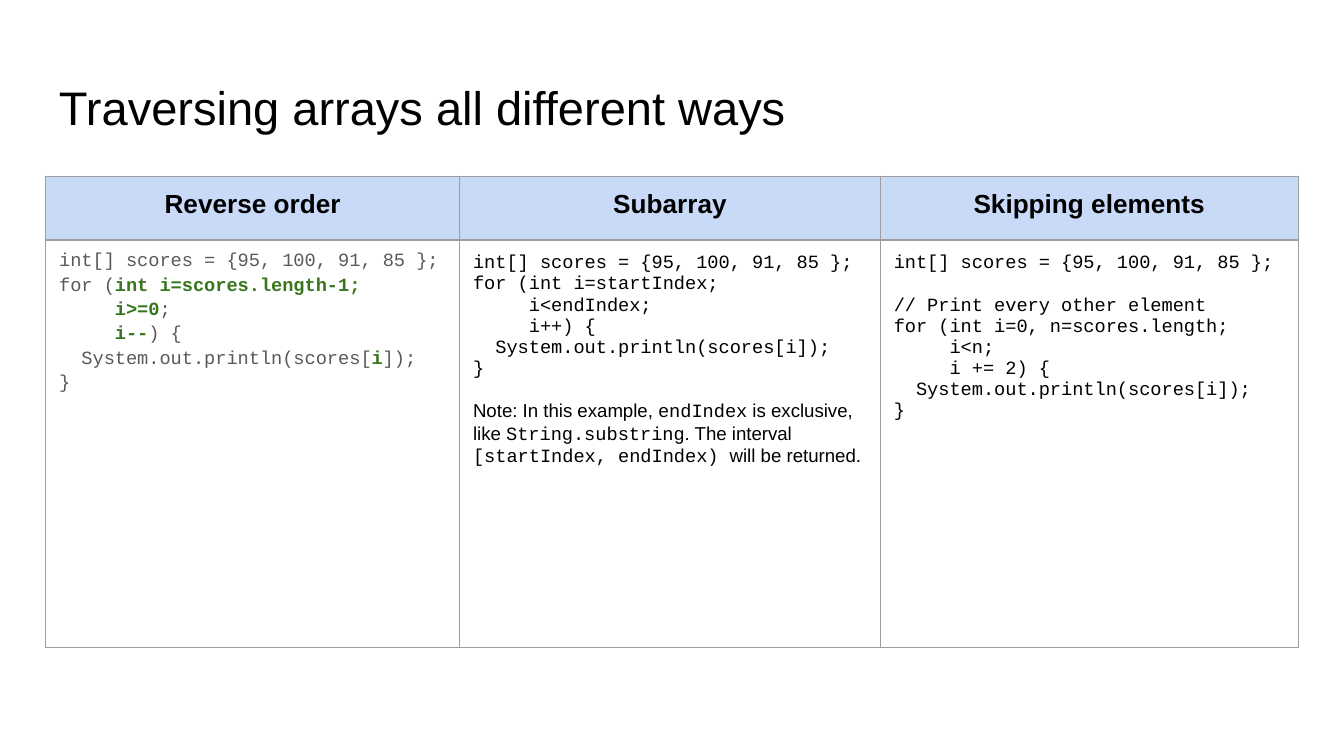
from lxml import etree
from pptx import Presentation
from pptx.dml.color import RGBColor
from pptx.enum.text import MSO_ANCHOR, PP_ALIGN
from pptx.oxml.ns import qn
from pptx.util import Inches, Pt

CENTER = PP_ALIGN.CENTER
MIDDLE = MSO_ANCHOR.MIDDLE
BLANK_LAYOUT = 6
SANS, MONO = "Arial", "Courier New"
BLACK, GRAY, GREEN = "000000", "595959", "38761D"
HEADER_FILL, BORDER = "C9DAF8", "9E9E9E"
LINE_GAP = 11.3  # one empty line of code, in points

COLUMN_WIDTHS = (30.8, 31.3, 31.1)  # percent of the slide width
ROW_HEIGHTS = (8.4, 53.9)  # percent of the slide height

PLAIN = dict(font=MONO, color=BLACK)
MUTED = dict(font=MONO, color=GRAY)
CHANGED = dict(font=MONO, color=GREEN, bold=True)
PROSE = dict(font=SANS, color=BLACK)

SCORES = "int[] scores = {95, 100, 91, 85 };"
PRINT = "  System.out.println(scores[i]);"

# A bar switches between the two styles of a paragraph.
REVERSE = [
    SCORES,
    "for (|int i=scores.length-1;",
    "     |i>=0|;",
    "     |i--|) {",
    "  System.out.println(scores[|i|]);",
    "}",
]
SUBARRAY = [
    SCORES,
    "for (int i=startIndex;\n     i<endIndex;\n     i++) {\n" + PRINT,
    "}",
]
NOTE = ("Note: In this example, |endIndex| is exclusive, like |String.substring|"
        ". The interval| [startIndex, endIndex) |will be returned.")
SKIPPING_LOOP = [
    "// Print every other element\nfor (int i=0, n=scores.length;\n"
    "     i<n;\n     i += 2) {",
    PRINT,
    "}",
]


def rgb(value):
    return RGBColor.from_string(value)


class SlideBuilder:
    """Holds the style and the page; positions are percentages of the slide."""

    def __init__(self, deck):
        self.deck = deck
        self.page = deck.slides.add_slide(deck.slide_layouts[BLANK_LAYOUT])
        self.inset = Inches(0.1)

    def x(self, percent):
        return round(self.deck.slide_width * percent / 100)

    def y(self, percent):
        return round(self.deck.slide_height * percent / 100)

    def format_font(self, font_object, size, font, color, bold=False):
        font_object.size = Pt(size)
        font_object.name = font
        font_object.bold = bold
        font_object.color.rgb = rgb(color)

    def title(self, text, left, top, width, height):
        box = self.page.shapes.add_textbox(
            self.x(left), self.y(top), self.x(width), self.y(height))
        frame = box.text_frame
        frame.word_wrap = True
        frame.vertical_anchor = MIDDLE
        frame.margin_left = frame.margin_right = self.inset
        frame.margin_top = frame.margin_bottom = self.inset
        frame.text = text
        self.format_font(frame.paragraphs[0].runs[0].font, 25.2, SANS, BLACK)

    def table(self, left, top, widths, heights):
        table = self.page.shapes.add_table(
            len(heights), len(widths), self.x(left), self.y(top),
            self.x(sum(widths)), self.y(sum(heights))).table
        table.first_row = table.horz_banding = False
        for column, width in zip(table.columns, widths):
            column.width = self.x(width)
        for row, height in zip(table.rows, heights):
            row.height = self.y(height)
        for cell in table.iter_cells():
            cell.margin_left = cell.margin_right = self.inset
            cell.margin_top = cell.margin_bottom = self.inset
            self.borders(cell)
            cell.fill.background()
        return table

    def borders(self, cell):
        properties = cell._tc.get_or_add_tcPr()
        for side in ("a:lnL", "a:lnR", "a:lnT", "a:lnB"):
            line = etree.SubElement(properties, qn(side), w=str(Pt(0.75)))
            fill = etree.SubElement(line, qn("a:solidFill"))
            etree.SubElement(fill, qn("a:srgbClr"), val=BORDER)

    def header(self, cell, text):
        cell.fill.solid()
        cell.fill.fore_color.rgb = rgb(HEADER_FILL)
        cell.text_frame.text = text
        para = cell.text_frame.paragraphs[0]
        para.alignment = CENTER
        self.format_font(para.runs[0].font, 14, SANS, BLACK, bold=True)

    def add_spans(self, para, text, style):
        for index, line in enumerate(text.split("\n")):
            if index:
                para.add_line_break()
            span = para.add_run()
            span.text = line
            self.format_font(span.font, 10, **style)

    def lines(self, cell, texts, styles, spacing=1.0, before=0, gap=0):
        """Append paragraphs to a cell; gap sets this group off from the last."""
        frame = cell.text_frame
        for index, text in enumerate(texts):
            is_first = not frame.text
            para = frame.paragraphs[0] if is_first else frame.add_paragraph()
            para.line_spacing = spacing
            para.space_before = Pt(0 if is_first else before if index else before + gap)
            for part, piece in enumerate(text.split("|")):
                self.add_spans(para, piece, styles[part % 2])


def main():
    deck = Presentation()
    deck.slide_width = Inches(10)
    deck.slide_height = deck.slide_width * 9 // 16
    slide = SlideBuilder(deck)
    slide.title("Traversing arrays all different ways", 3.4, 8.6, 93.2, 11.1)

    table = slide.table(3.4, 23.35, COLUMN_WIDTHS, ROW_HEIGHTS)
    for column, text in enumerate(("Reverse order", "Subarray", "Skipping elements")):
        slide.header(table.cell(0, column), text)

    reverse, subarray, skipping = (table.cell(1, column) for column in range(3))
    slide.lines(reverse, REVERSE, (MUTED, CHANGED), spacing=0.8, before=4)
    slide.lines(subarray, SUBARRAY, (PLAIN, PLAIN))
    slide.lines(subarray, [NOTE], (PROSE, PLAIN), gap=LINE_GAP)
    slide.lines(skipping, [SCORES], (PLAIN, PLAIN))
    slide.lines(skipping, SKIPPING_LOOP, (PLAIN, PLAIN), gap=LINE_GAP)

    deck.save("out.pptx")


if __name__ == "__main__":
    main()
